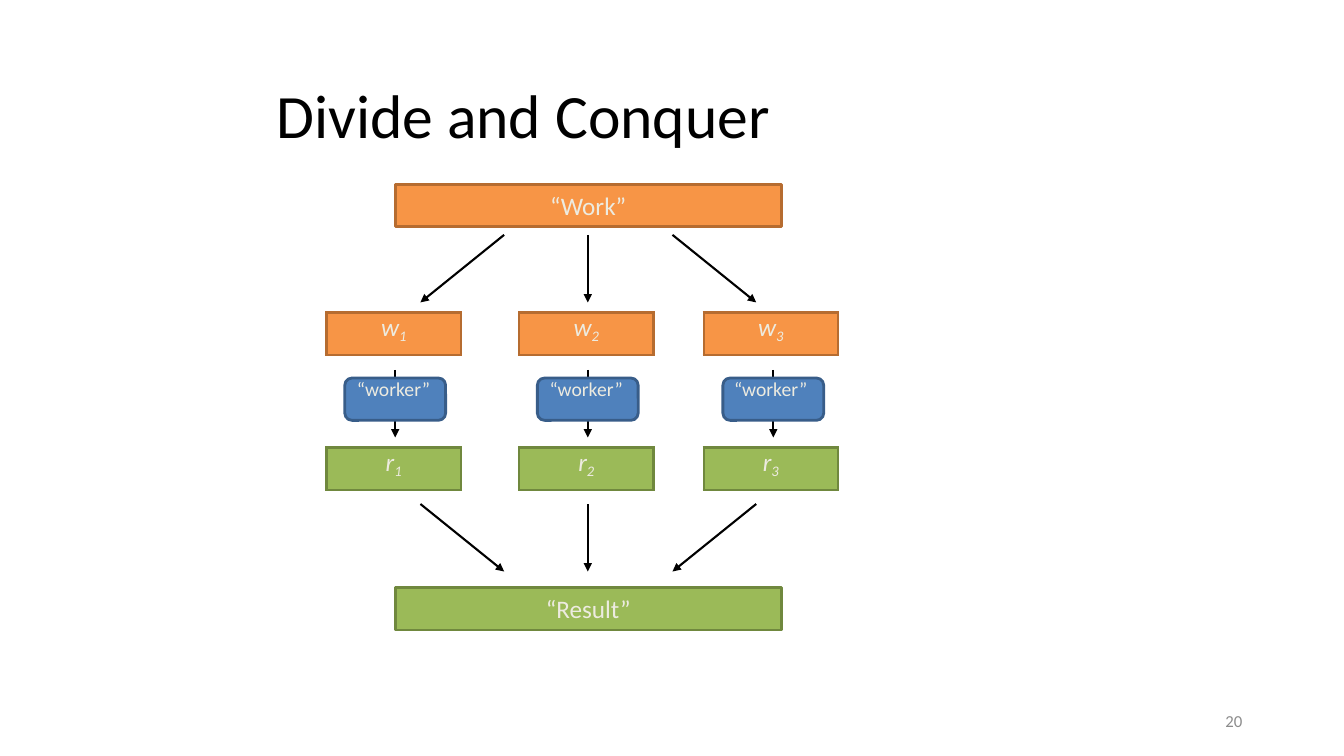
from lxml import etree
from pptx import Presentation
from pptx.dml.color import RGBColor
from pptx.enum.shapes import MSO_CONNECTOR, MSO_SHAPE
from pptx.enum.text import MSO_ANCHOR, PP_ALIGN
from pptx.oxml.ns import qn
from pptx.util import Inches, Pt

COLORS = {
    "black": "000000",
    "cream": "EDEBE0",
    "gray": "8C8C8C",
    "orange": "F79546",
    "orange_edge": "B66C30",
    "green": "9BBA58",
    "green_edge": "70883E",
    "blue": "4F81BC",
    "blue_edge": "385D89",
}
NO_STYLE_TABLE = "{2D5ABB26-0587-4C30-8999-92F81FD0307C}"


def color(name):
    return RGBColor.from_string(COLORS[name])


def write(frame, runs, size, ink, align, anchor=MSO_ANCHOR.MIDDLE, inset=0):
    """Fill a text frame or cell with (text, italic, baseline) runs."""
    frame.margin_left = frame.margin_right = Inches(inset)
    frame.margin_top = frame.margin_bottom = 0
    frame.vertical_anchor = anchor
    text_frame = getattr(frame, "text_frame", frame)
    text_frame.word_wrap = True
    paragraph = text_frame.paragraphs[0]
    paragraph.alignment = align
    for text, italic, baseline in runs:
        run = paragraph.add_run()
        run.text = text
        run.font.name = "Calibri"
        run.font.size = Pt(size)
        run.font.italic = italic
        run.font.color.rgb = color(ink)
        if baseline:
            run.font._element.set("baseline", str(baseline))


presentation = Presentation()
presentation.slide_width = Inches(13.33)
presentation.slide_height = Inches(7.5)
slide = presentation.slides.add_slide(presentation.slide_layouts[6])
shapes = slide.shapes

# Title and slide number
title = shapes.add_textbox(Inches(2.74), Inches(0.4), Inches(9.68), Inches(1.45))
write(title.text_frame, [("Divide and Conquer", False, 0)], 44, "black", PP_ALIGN.LEFT)
number = shapes.add_textbox(Inches(9.42), Inches(6.95), Inches(3), Inches(0.4))
write(number.text_frame, [("20", False, 0)], 12, "gray", PP_ALIGN.RIGHT, inset=0.1)

# Wide bars at the start and the end
for label, top, fill in [("“Work”", 1.83, "orange"), ("“Result”", 5.83, "green")]:
    bar = shapes.add_shape(
        MSO_SHAPE.RECTANGLE, Inches(3.92), Inches(top), Inches(3.83), Inches(0.42))
    bar.shadow.inherit = False
    bar.fill.solid()
    bar.fill.fore_color.rgb = color(fill)
    bar.line.color.rgb = color(fill + "_edge")
    bar.line.width = Pt(2)
    write(bar.text_frame, [(label, False, 0)], 18, "cream", PP_ALIGN.CENTER)

# Arrows: split, work, merge
worker_centers = [3.92, 5.83, 7.67]
inner_ends = [5, 5.83, 6.67]
outer_ends = [4.17, 5.83, 7.5]
arrow_rows = [
    (2.33, inner_ends, outer_ends),
    (3.67, worker_centers, worker_centers),
    (5, outer_ends, inner_ends),
]
for top, starts, ends in arrow_rows:
    for start, end in zip(starts, ends):
        arrow = shapes.add_connector(
            MSO_CONNECTOR.STRAIGHT,
            Inches(start), Inches(top), Inches(end), Inches(top + 0.67))
        arrow.line.color.rgb = color("black")
        arrow.line.width = Pt(1.5)
        etree.SubElement(arrow.line._get_or_add_ln(), qn("a:tailEnd"), type="triangle")
        etree.SubElement(arrow.element.spPr, qn("a:effectLst"))

# Worker boxes
for center in worker_centers:
    worker = shapes.add_shape(
        MSO_SHAPE.ROUNDED_RECTANGLE,
        Inches(center - 0.5), Inches(3.75), Inches(1), Inches(0.42))
    worker.adjustments[0] = 0.17
    worker.shadow.inherit = False
    worker.fill.solid()
    worker.fill.fore_color.rgb = color("blue")
    worker.line.color.rgb = color("blue_edge")
    worker.line.width = Pt(2)

# Table of work parts, worker labels and partial results
column_widths = [1.33, 0.58, 1.33, 0.5, 1.33]
row_heights = [0.42, 0.92, 0.42]
table_frame = shapes.add_table(
    3, 5, Inches(3.24), Inches(3.1),
    Inches(sum(column_widths)), Inches(sum(row_heights)))
table = table_frame.table
table.first_row = False
table.horz_banding = False
next(table_frame.element.iter(qn("a:tableStyleId"))).text = NO_STYLE_TABLE
for column, width in zip(table.columns, column_widths):
    column.width = Inches(width)
for row, height in zip(table.rows, row_heights):
    row.height = Inches(height)
for cell in table.iter_cells():
    cell.fill.background()

for part in range(3):
    column_index = 2 * part
    label_cell = table.cell(1, column_index)
    write(label_cell, [("“worker”", False, 0)], 14, "cream",
          PP_ALIGN.LEFT, MSO_ANCHOR.TOP)
    label_cell.margin_left = Inches(0.3)
    label_cell.margin_top = Inches(0.23)
    for row_index, letter, fill in [(0, "w", "orange"), (2, "r", "green")]:
        cell = table.cell(row_index, column_index)
        write(cell, [(letter, True, 0), (str(part + 1), True, -21000)], 18,
              "cream", PP_ALIGN.CENTER, MSO_ANCHOR.TOP)
        properties = cell._tc.get_or_add_tcPr()
        for side in ("lnL", "lnR", "lnT", "lnB"):
            border = etree.SubElement(properties, qn("a:" + side), w=str(Pt(2)))
            solid = etree.SubElement(border, qn("a:solidFill"))
            etree.SubElement(solid, qn("a:srgbClr"), val=COLORS[fill + "_edge"])
        cell.fill.solid()
        cell.fill.fore_color.rgb = color(fill)
        # The schema wants the fill after the borders
        properties.append(properties.find(qn("a:solidFill")))

presentation.save("out.pptx")
